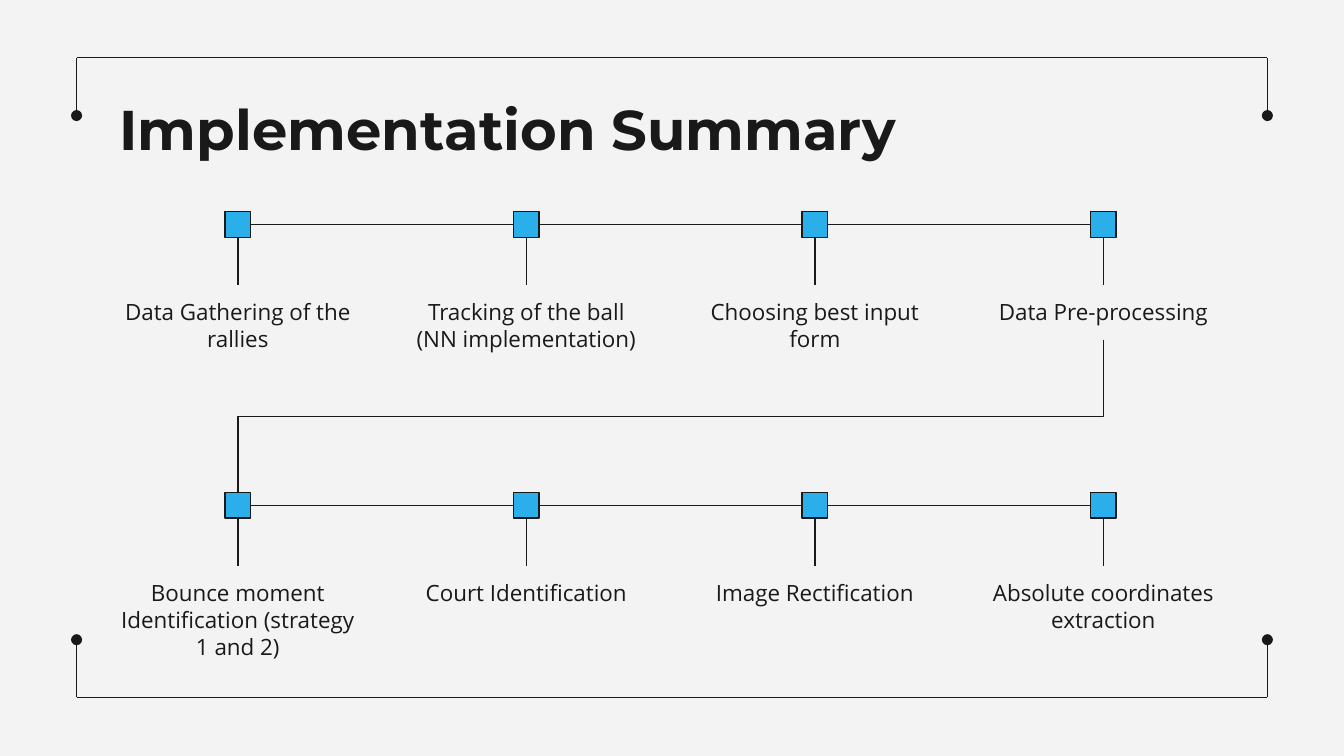
from pptx import Presentation
from pptx.dml.color import RGBColor
from pptx.enum.shapes import MSO_CONNECTOR as Link, MSO_SHAPE as Shape
from pptx.enum.text import MSO_ANCHOR as Anchor, PP_ALIGN as Align
from pptx.oxml.ns import qn
from pptx.oxml.xmlchemy import OxmlElement
from pptx.util import Inches, Pt

WIDTH = 10
HEIGHT = WIDTH * 9 / 16
INK, BLUE, PAPER = "191919", "2AAFEB", "F3F3F3"
INSET = Inches(0.1)

# Step grid: four columns, two rows
FIRST_X, LAST_X = 1.77, 8.21
ROW_CENTERS = (1.67, 3.76)
MARKER, LABEL_DROP = 0.19, 0.45
LABEL_W, LABEL_H = 1.98, 0.41
STEPS = (
    ("Data Gathering of the rallies", "Tracking of the ball (NN implementation)",
     "Choosing best input form", "Data Pre-processing"),
    ("Bounce moment Identification (strategy 1 and 2)", "Court Identification",
     "Image Rectification", "Absolute coordinates extraction"),
)


def color(value):
    return RGBColor.from_string(value)


def add_line(page, start, end, kind=Link.STRAIGHT, dot=False):
    points = [Inches(value) for value in (*start, *end)]
    line = page.shapes.add_connector(kind, *points)
    line.line.color.rgb = color(INK)
    line.line.width = Pt(0.75)
    properties = line._element.spPr
    if dot:
        tail = OxmlElement("a:tailEnd")
        tail.set("type", "oval")
        properties.find(qn("a:ln")).append(tail)
    properties.append(OxmlElement("a:effectLst"))
    return line


def write(box, text, font, size, bold=False, align=Align.LEFT):
    frame = box.text_frame
    frame.word_wrap = True
    frame.vertical_anchor = Anchor.TOP
    frame.margin_left = frame.margin_right = INSET
    frame.margin_top = frame.margin_bottom = INSET
    para = frame.paragraphs[0]
    para.text = text
    para.alignment = align
    para.font.name, para.font.size, para.font.bold = font, Pt(size), bold
    para.font.color.rgb = color(INK)


def add_frame(page, left, top, right, bottom, drop):
    """Two open brackets whose legs end in dots."""
    for edge, leg in ((top, drop), (bottom, -drop)):
        add_line(page, (left, edge), (right, edge))
        for side in (left, right):
            add_line(page, (side, edge), (side, edge + leg), dot=True)


def add_title(page, left, top, width, height):
    title = page.shapes.title
    title.left, title.top = Inches(left), Inches(top)
    title.width, title.height = Inches(width), Inches(height)
    write(title, "Implementation Summary", "Montserrat", 30, bold=True)


def add_step_row(page, left, right, middle, labels):
    """Markers joined by lines, each with a stem and a label below."""
    half = MARKER / 2
    pitch = (right - left) / (len(labels) - 1)
    label_top = middle + LABEL_DROP
    for column, label in enumerate(labels):
        center = left + column * pitch
        marker = page.shapes.add_shape(
            Shape.RECTANGLE, Inches(center - half), Inches(middle - half),
            Inches(MARKER), Inches(MARKER))
        marker.shadow.inherit = False
        marker.fill.solid()
        marker.fill.fore_color.rgb = color(BLUE)
        marker.line.color.rgb = color(INK)
        marker.line.width = Pt(0.75)
        add_line(page, (center, middle + half), (center, label_top))
        if column:
            add_line(page, (center - pitch + half, middle), (center - half, middle))
        box = page.shapes.add_textbox(
            Inches(center - LABEL_W / 2), Inches(label_top), Inches(LABEL_W), Inches(LABEL_H))
        write(box, label, "Open Sans", 12, align=Align.CENTER)


def add_row_link(page, start, end):
    """Elbow that leaves downward: a sideways elbow turned by 90 degrees."""
    middle_x, middle_y = (start[0] + end[0]) / 2, (start[1] + end[1]) / 2
    half_w, half_h = (end[1] - start[1]) / 2, (start[0] - end[0]) / 2
    link = add_line(page, (middle_x - half_w, middle_y - half_h),
                    (middle_x + half_w, middle_y + half_h), kind=Link.ELBOW)
    link._element.spPr.find(qn("a:xfrm")).set("rot", "5400000")


def main():
    deck = Presentation()
    deck.slide_width, deck.slide_height = Inches(WIDTH), Inches(HEIGHT)
    page = deck.slides.add_slide(deck.slide_layouts[5])
    page.background.fill.solid()
    page.background.fill.fore_color.rgb = color(PAPER)

    add_frame(page, 0.57, 0.43, WIDTH - 0.57, 5.19, drop=0.43)
    add_title(page, 0.79, 0.6, 8.43, 0.63)
    for middle, labels in zip(ROW_CENTERS, STEPS):
        add_step_row(page, FIRST_X, LAST_X, middle, labels)
    label_bottom = ROW_CENTERS[0] + LABEL_DROP + LABEL_H
    add_row_link(page, (LAST_X, label_bottom), (FIRST_X, ROW_CENTERS[1] - MARKER / 2))

    deck.save("out.pptx")


if __name__ == "__main__":
    main()
